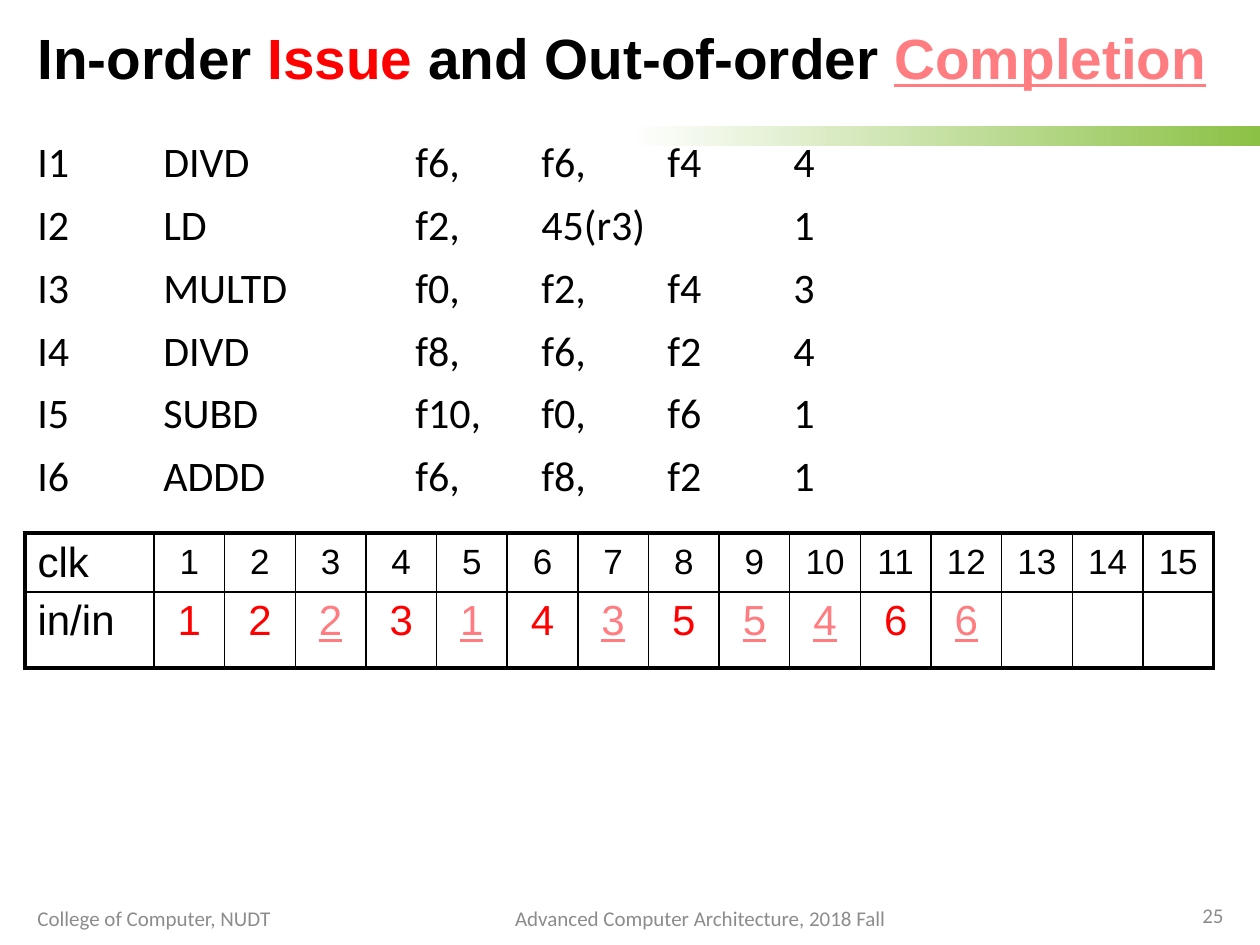
from lxml.etree import SubElement
from pptx import Presentation
from pptx.dml.color import RGBColor
from pptx.enum.shapes import MSO_SHAPE as Shape
from pptx.enum.text import MSO_ANCHOR as Anchor, MSO_AUTO_SIZE as AutoSize, PP_ALIGN as Align
from pptx.oxml.ns import qn
from pptx.util import Pt

PX = 914400 // 126
BLACK = RGBColor(0x00, 0x00, 0x00)
WHITE = RGBColor(0xFF, 0xFF, 0xFF)
GREEN = RGBColor(0x8B, 0xC1, 0x45)
GRAY = RGBColor(0x8C, 0x8C, 0x8C)
RED = RGBColor(0xFF, 0x00, 0x00)
PINK = RGBColor(0xFF, 0x7C, 0x80)

ISSUE = {"color": RED}
COMPLETION = {"color": PINK, "underline": True}

INSTRUCTIONS = [
    "I1 \tDIVD\t\tf6, \tf6,\tf4 \t4",
    "I2\tLD\t\tf2,\t45(r3)\t\t1",
    "I3\tMULTD\t\tf0,\tf2,\tf4\t3",
    "I4\tDIVD\t\tf8,\tf6,\tf2\t4",
    "I5\tSUBD\t\tf10,\tf0,\tf6\t1",
    "I6\tADDD\t\tf6,\tf8,\tf2\t1",
]
TAB_STOPS = range(126, 757, 126)
CYCLES = 15
EVENTS = [1, 2, 2, 3, 1, 4, 3, 5, 5, 4, 6, 6]


def px(*lengths):
    return [length * PX for length in lengths]


def add_text(paragraph, text, font="Arial", size=24, color=BLACK, bold=False,
             underline=False, align=Align.LEFT, line_spacing=None, space_before=0,
             tab_stops=()):
    if tab_stops:
        tab_list = SubElement(paragraph._p.get_or_add_pPr(), qn("a:tabLst"))
        for position in px(*tab_stops):
            SubElement(tab_list, qn("a:tab"), pos=str(position), algn="l")
    paragraph.alignment = align
    paragraph.space_before = Pt(space_before)
    if line_spacing:
        paragraph.line_spacing = line_spacing
    run = paragraph.add_run()
    run.text = text
    run.font.name = font
    run.font.size = Pt(size)
    run.font.bold = bold
    run.font.underline = underline
    run.font.color.rgb = color


class SlideBuilder:
    def __init__(self, deck):
        self.slide = deck.slides.add_slide(deck.slide_layouts[5])
        self.body_font = "Calibri"
        self.thin, self.thick = Pt(1), Pt(2.25)

    def accent_bar(self, *box):
        bar = self.slide.shapes.add_shape(Shape.RECTANGLE, *px(*box))
        bar.shadow.inherit = False
        bar.line.fill.background()
        bar.fill.gradient()
        bar.fill.gradient_angle = 0
        for stop, color, position in zip(bar.fill.gradient_stops, (WHITE, GREEN), (0, 1)):
            stop.color.rgb = color
            stop.position = position

    def title(self, parts, *box):
        heading = self.slide.shapes.title
        heading.left, heading.top, heading.width, heading.height = px(*box)
        frame = heading.text_frame
        frame.auto_size = AutoSize.NONE
        frame.vertical_anchor = Anchor.MIDDLE
        for text, style in parts:
            add_text(frame.paragraphs[0], text, size=32.4, bold=True,
                     line_spacing=0.9, **style)

    def text(self, lines, *box, anchor=Anchor.TOP, gap=0, **style):
        frame = self.slide.shapes.add_textbox(*px(*box)).text_frame
        frame.word_wrap = True
        frame.vertical_anchor = anchor
        for index, line in enumerate(lines):
            paragraph = frame.add_paragraph() if index else frame.paragraphs[0]
            add_text(paragraph, line, font=self.body_font,
                     space_before=gap if index else 0, **style)

    def footer(self, text, *box, align=Align.LEFT):
        self.text([text], *box, anchor=Anchor.MIDDLE, size=12, color=GRAY, align=align)

    def borders(self, cell, outer_sides):
        properties = cell._tc.get_or_add_tcPr()
        for side in "LRTB":
            width = self.thick if side in outer_sides else self.thin
            line = SubElement(properties, qn(f"a:ln{side}"), w=str(width))
            fill = SubElement(line, qn("a:solidFill"))
            SubElement(fill, qn("a:srgbClr"), val=str(BLACK))

    def timeline(self, rows, row_heights, label_width, left, top, width):
        last_row, last_column = len(rows) - 1, len(rows[0]) - 1
        table = self.slide.shapes.add_table(
            len(rows), len(rows[0]), *px(left, top, width, sum(row_heights))).table
        table.first_row = table.horz_banding = False
        for column in table.columns:
            column.width = (width - label_width) * PX // last_column
        table.columns[0].width = label_width * PX
        for r, (cells, height) in enumerate(zip(rows, row_heights)):
            table.rows[r].height = height * PX
            for c, (text, style) in enumerate(cells):
                cell = table.cell(r, c)
                cell.vertical_anchor = Anchor.TOP if r else Anchor.MIDDLE
                cell.margin_top = (6 if r else 4) * PX
                cell.margin_bottom = 4 * PX
                edges = {"L": c == 0, "R": c == last_column, "T": r == 0, "B": r == last_row}
                self.borders(cell, [side for side, outer in edges.items() if outer])
                cell.fill.background()
                if text:
                    add_text(cell.text_frame.paragraphs[0], text,
                             align=Align.CENTER if c else Align.LEFT, **style)


def main():
    deck = Presentation()
    deck.slide_width, deck.slide_height = px(1260, 945)
    builder = SlideBuilder(deck)

    builder.accent_bar(630, 126, 630, 20)
    builder.title([("In-order ", {}), ("Issue", ISSUE), (" and Out-of-order ", {}),
                   ("Completion", COMPLETION)], 25, 17, 1211, 89)
    builder.text(INSTRUCTIONS, 25, 135, 1211, 753, gap=10, line_spacing=0.9,
                 tab_stops=TAB_STOPS)

    clock = [("clk", {})] + [(str(cycle), {"size": 20}) for cycle in range(1, CYCLES + 1)]
    progress = [("in/in", {})]
    for cycle, instruction in enumerate(EVENTS):
        issued = instruction in EVENTS[:cycle]
        progress.append((str(instruction), COMPLETION if issued else ISSUE))
    progress += [("", {})] * (CYCLES - len(EVENTS))
    builder.timeline([clock, progress], [59, 76], 129, 25, 533, 1189)

    builder.footer("College of Computer, NUDT", 25, 893, 284, 50)
    builder.footer("Advanced Computer Architecture, 2018 Fall", 413, 893, 575, 50,
                   align=Align.CENTER)
    builder.footer("25", 1108, 890, 128, 50, align=Align.RIGHT)
    deck.save("out.pptx")


if __name__ == "__main__":
    main()
